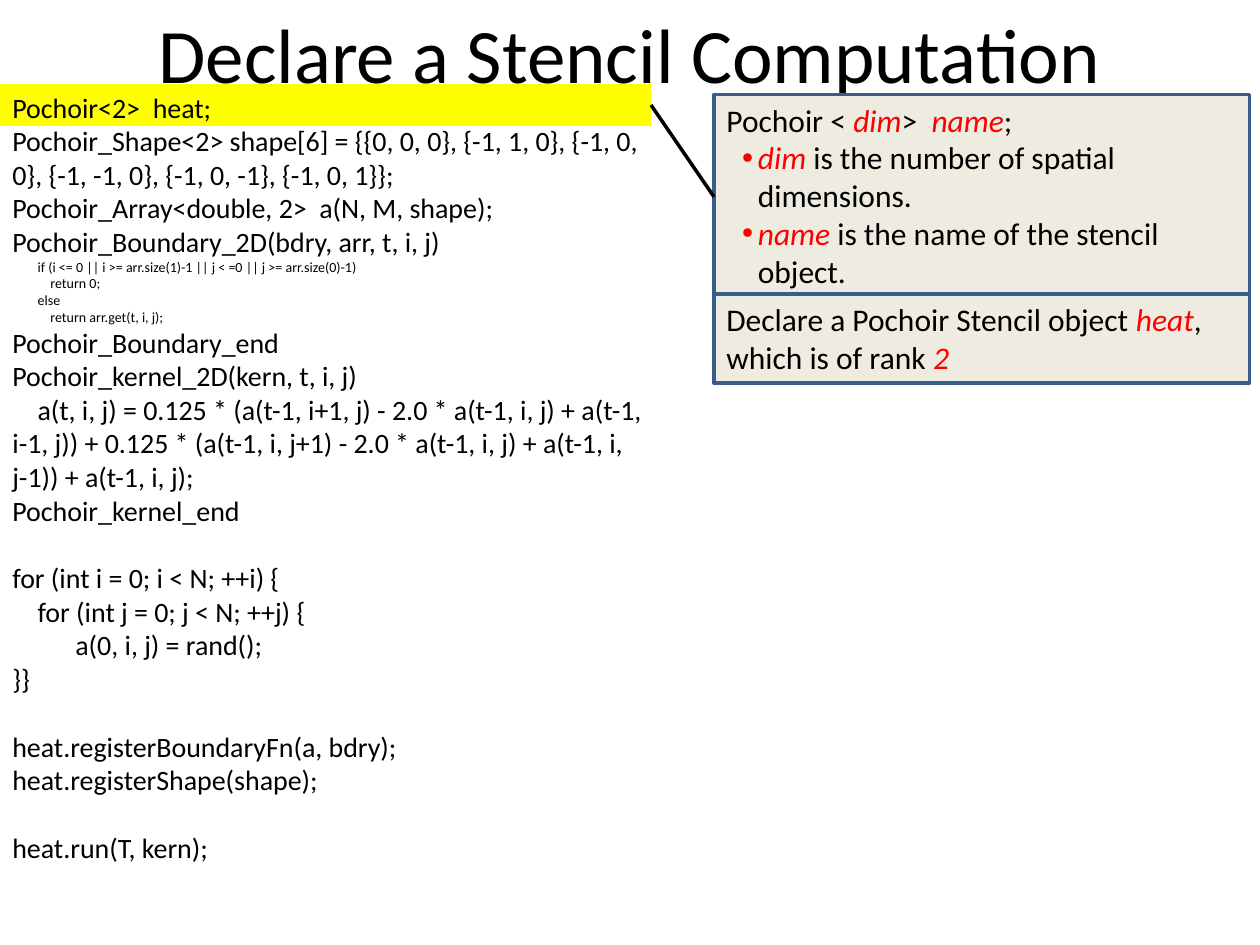
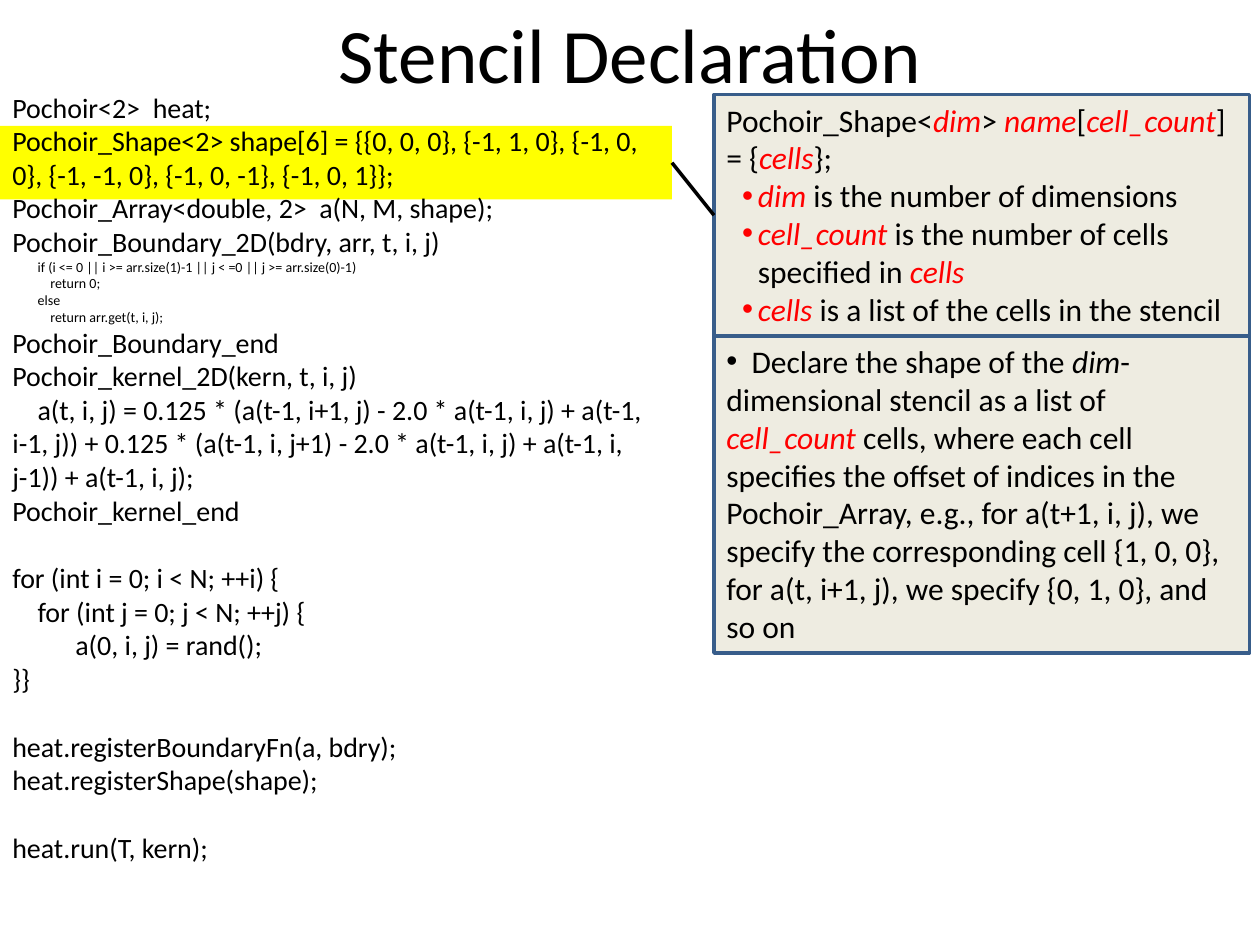
import pptx
import pptx.dml.color
import pptx.enum.shapes
import pptx.enum.text
import pptx.oxml.ns
import pptx.util
from lxml import etree
from typing import NamedTuple

RGBColor = pptx.dml.color.RGBColor
BLACK = RGBColor(0x00, 0x00, 0x00)
RED = RGBColor(0xFF, 0x00, 0x00)
YELLOW = RGBColor(0xFF, 0xFF, 0x00)
CREAM = RGBColor(0xEE, 0xEC, 0xE1)
NAVY = RGBColor(0x38, 0x5D, 0x8A)

EMU_PER_PX = 7620  # 120 px to the inch
FONT = "Calibri"
CODE_SIZE, CODE_SMALL, CODE_GAP = 16, 8, 19.5
NOTE_SIZE, TITLE_SIZE = 18, 44
NOTE_LEFT, NOTE_TOP, NOTE_WIDTH = 680, 90, 510
RECTANGLE = pptx.enum.shapes.MSO_SHAPE.RECTANGLE
RIGHT_SIDE, LEFT_SIDE = 3, 1


class Run(NamedTuple):
    text: str
    color: RGBColor = BLACK
    italic: bool = False


class Para(NamedTuple):
    runs: list[Run]
    bullet: bool = False
    margin: int = 0
    indent: int = 0
    tab: int = 0
    size: int = NOTE_SIZE
    space_before: float = 0


class Note(NamedTuple):
    top: int
    height: int
    paras: list[Para]


class StencilSlide(NamedTuple):
    title: str
    highlight: tuple[int, int, int, int]
    notes: list[Note]


def px(n: int) -> pptx.util.Emu:
    return pptx.util.Emu(n * EMU_PER_PX)


def arg(name: str) -> Run:
    return Run(name, RED, True)


def item(*runs: Run) -> Para:
    return Para(list(runs), bullet=True, margin=30, indent=-15)


def code(text: str, size: int = CODE_SIZE, gap: float = 0) -> Para:
    return Para([Run(text)], size=size, space_before=gap)


CODE = [
    code("Pochoir<2>  heat;"),
    code("Pochoir_Shape<2> shape[6] = {{0, 0, 0}, {-1, 1, 0}, {-1, 0, 0}, "
         "{-1, -1, 0}, {-1, 0, -1}, {-1, 0, 1}};"),
    code("Pochoir_Array<double, 2>  a(N, M, shape);"),
    code("Pochoir_Boundary_2D(bdry, arr, t, i, j)"),
    code("        if (i <= 0 || i >= arr.size(1)-1 || j < =0 || j >= arr.size(0)-1)",
         CODE_SMALL),
    code("            return 0;", CODE_SMALL),
    code("        else", CODE_SMALL),
    code("            return arr.get(t, i, j);", CODE_SMALL),
    code("Pochoir_Boundary_end"),
    code("Pochoir_kernel_2D(kern, t, i, j)"),
    code("    a(t, i, j) = 0.125 * (a(t-1, i+1, j) - 2.0 * a(t-1, i, j) + "
         "a(t-1, i-1, j)) + 0.125 * (a(t-1, i, j+1) - 2.0 * a(t-1, i, j) + "
         "a(t-1, i, j-1)) + a(t-1, i, j);"),
    code("Pochoir_kernel_end"),
    code("for (int i = 0; i < N; ++i) {", gap=CODE_GAP),
    code("    for (int j = 0; j < N; ++j) {"),
    code("          a(0, i, j) = rand();"),
    code("}}"),
    code("heat.registerBoundaryFn(a, bdry);", gap=CODE_GAP),
    code("heat.registerShape(shape);"),
    code("heat.run(T, kern);", gap=CODE_GAP),
]

SLIDES = [
    StencilSlide("Declare a Stencil Computation", (0, 80, 620, 40), [
        Note(NOTE_TOP, 195, [
            Para([Run("Pochoir < "), arg("dim"), Run(">  "), arg("name"), Run(";")]),
            item(arg("dim "), Run("is the number of spatial dimensions.")),
            item(arg("name "), Run("is the name of the stencil object.")),
        ]),
        Note(280, 85, [
            Para([Run("Declare a Pochoir Stencil object "), arg("heat"),
                  Run(", which is of rank "), arg("2")]),
        ]),
    ]),
    StencilSlide("Stencil Declaration", (0, 120, 640, 70), [
        Note(NOTE_TOP, 230, [
            Para([Run("Pochoir_Shape<"), arg("dim"), Run("> "), arg("name"), Run("["),
                  arg("cell_count"), Run("] = {"), arg("cells"), Run("};")]),
            item(arg("dim "), Run("is the number of dimensions")),
            item(arg("cell_count "), Run("is the number of cells specified in "),
                 arg("cells")),
            item(arg("cells"), Run(" is a list of the cells in the stencil")),
        ]),
        Note(320, 302, [
            Para([Run("\tDeclare the shape of the "), Run("dim", italic=True),
                  Run("-dimensional stencil as a list of "), arg("cell_count"),
                  Run(" cells, where each cell specifies the offset of indices in the "
                      "Pochoir_Array, e.g., for a(t+1, i, j), we specify the "
                      "corresponding cell {1, 0, 0}, for a(t, i+1, j), we specify "
                      "{0, 1, 0}, and so on")],
                 bullet=True, tab=24),
        ]),
    ]),
]


def add_child(parent, tag: str, **attrs: str):
    return etree.SubElement(parent, pptx.oxml.ns.qn(tag), attrs)


def write(tf, paras: list[Para], align=pptx.enum.text.PP_ALIGN.LEFT) -> None:
    tf.word_wrap = True
    for i, para in enumerate(paras):
        p = tf.add_paragraph() if i else tf.paragraphs[0]
        p.alignment = align
        if para.space_before:
            p.space_before = pptx.util.Pt(para.space_before)
        # Bullet and tab stop come before the paragraph font
        pPr = p._p.get_or_add_pPr()
        if para.bullet:
            pPr.set("marL", str(px(para.margin)))
            pPr.set("indent", str(px(para.indent)))
            add_child(pPr, "a:buFont", typeface="Arial")
            add_child(pPr, "a:buChar", char="•")
        if para.tab:
            tabs = add_child(pPr, "a:tabLst")
            add_child(tabs, "a:tab", pos=str(px(para.tab)), algn="l")
        p.font.name = FONT
        p.font.size = pptx.util.Pt(para.size)
        for run in para.runs:
            r = p.add_run()
            r.text = run.text
            r.font.color.rgb = run.color
            r.font.italic = run.italic


def add_text(s, box: tuple[int, int, int, int], paras: list[Para]):
    tf = s.shapes.add_textbox(*map(px, box)).text_frame
    write(tf, paras)
    return tf


def add_rect(s, box: tuple[int, int, int, int], fill: RGBColor):
    sp = s.shapes.add_shape(RECTANGLE, *map(px, box))
    sp.shadow.inherit = False
    sp.fill.solid()
    sp.fill.fore_color.rgb = fill
    sp.line.fill.background()
    return sp


def add_note(s, note: Note):
    sp = add_rect(s, (NOTE_LEFT, note.top, NOTE_WIDTH, note.height), CREAM)
    sp.line.color.rgb = NAVY
    sp.line.width = pptx.util.Pt(2)
    tf = sp.text_frame
    tf.vertical_anchor = pptx.enum.text.MSO_ANCHOR.TOP
    tf.auto_size = pptx.enum.text.MSO_AUTO_SIZE.SHAPE_TO_FIT_TEXT
    write(tf, note.paras)
    return sp


def add_link(s, start, end) -> None:
    line = s.shapes.add_connector(pptx.enum.shapes.MSO_CONNECTOR.STRAIGHT, 0, 0, 0, 0)
    line.begin_connect(start, RIGHT_SIDE)
    line.end_connect(end, LEFT_SIDE)
    line.line.color.rgb = BLACK
    line.line.width = pptx.util.Pt(2)
    add_child(line._element.spPr, "a:effectLst")


def build_slide(prs, spec_slide: StencilSlide) -> None:
    s = prs.slides.add_slide(prs.slide_layouts[6])
    # Code listing with its highlighted statement
    highlight = add_rect(s, spec_slide.highlight, YELLOW)
    add_text(s, (0, 80, 650, 755), CODE)
    # Title
    tf = s.shapes.add_textbox(px(60), px(0), px(1080), px(100)).text_frame
    tf.vertical_anchor = pptx.enum.text.MSO_ANCHOR.MIDDLE
    write(tf, [Para([Run(spec_slide.title)], size=TITLE_SIZE)],
          pptx.enum.text.PP_ALIGN.CENTER)
    # Explanations, the first one tied to the highlight
    notes = [add_note(s, note) for note in spec_slide.notes]
    add_link(s, highlight, notes[0])


def main() -> None:
    prs = pptx.Presentation()
    prs.slide_width, prs.slide_height = px(1200), px(900)
    for stencil_slide in SLIDES:
        build_slide(prs, stencil_slide)
    prs.save("out.pptx")


if __name__ == "__main__":
    main()
